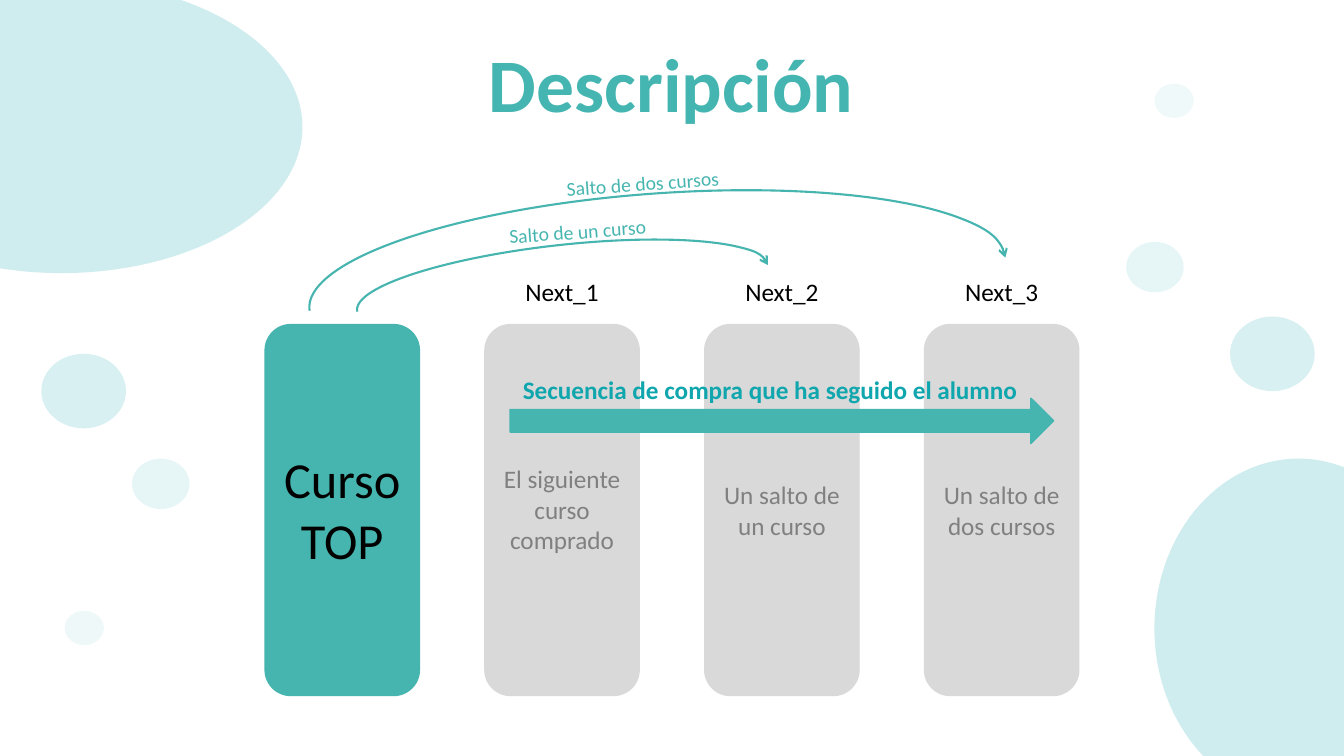
from lxml import etree
from pptx import Presentation
from pptx import util as u
from pptx.dml.color import RGBColor
from pptx.enum import shapes, text
from pptx.oxml.ns import qn

PX = u.Inches(1) // 100
TEAL = RGBColor(0x46, 0xB5, 0xAF)
TITLE_TEAL = RGBColor(0x44, 0xB5, 0xB1)
DEEP_TEAL = RGBColor(0x10, 0xA6, 0xAE)
CARD_GREY = RGBColor(0xD9, 0xD9, 0xD9)
TEXT_GREY = RGBColor(0x80, 0x80, 0x80)
BLACK = RGBColor(0, 0, 0)

CARD_LEFT, CARD_TOP, CARD_WIDTH, CARD_HEIGHT, CARD_STEP = 263, 322, 153, 368, 218
NEXT_COURSES = [
    ("Next_1", "El siguiente curso comprado", 455, 101),
    ("Next_2", "Un salto de un curso", 471, 71),
    ("Next_3", "Un salto de dos cursos", 471, 71),
]
BUBBLES = [
    (-178, -19, 478, 290, 20),
    (1145, 455, 286, 337, 20),
    (64, 606, 39, 34, 7),
    (131, 455, 57, 50, 10),
    (41, 351, 84, 74, 16),
    (1145, 83, 39, 34, 6),
    (1117, 240, 57, 50, 10),
    (1220, 314, 84, 74, 16),
]
JUMPS = [
    ("Salto de un curso", (495, 211, 208, 34), (353, 243, 410, 85), 353.7),
    ("Salto de dos cursos", (552, 164, 208, 34), (306, 192, 692, 178), 355.8),
]


def add_figure(slide, kind, box, fill=None, line=None, weight=1):
    """Add a preset shape with an optional solid fill and outline."""
    figure = slide.shapes.add_shape(kind, *(n * PX for n in box))
    figure.shadow.inherit = False
    if fill is None:
        figure.fill.background()
    else:
        figure.fill.solid()
        figure.fill.fore_color.rgb = fill
    if line is None:
        figure.line.fill.background()
    else:
        figure.line.color.rgb = line
        figure.line.width = u.Pt(weight)
    return figure


def add_label(slide, words, box, size, color, bold=False,
              align=text.PP_ALIGN.CENTER):
    """Add a wrapped one-paragraph text box."""
    label = slide.shapes.add_textbox(*(n * PX for n in box))
    frame = label.text_frame
    frame.word_wrap = True
    frame.auto_size = text.MSO_AUTO_SIZE.SHAPE_TO_FIT_TEXT
    paragraph = frame.paragraphs[0]
    paragraph.text = words
    paragraph.alignment = align
    font = paragraph.font
    font.name, font.size, font.bold = "Calibri", u.Pt(size), bold
    font.color.rgb = color
    return label


def add_card(slide, column, color):
    """Add the rounded card of one course column."""
    box = (CARD_LEFT + column * CARD_STEP, CARD_TOP, CARD_WIDTH, CARD_HEIGHT)
    add_figure(slide, shapes.MSO_SHAPE.ROUNDED_RECTANGLE, box, color, color)


def add_bubble(slide, left, top, width, height, opacity):
    """Add a translucent background ellipse."""
    bubble = add_figure(slide, shapes.MSO_SHAPE.OVAL,
                        (left, top, width, height), DEEP_TEAL)
    tint = bubble.fill._xPr.find(".//" + qn("a:srgbClr"))
    etree.SubElement(tint, qn("a:alpha"), val=str(opacity * 1000))


def add_jump(slide, words, label_box, arc_box, tilt):
    """Add a curved arrow and the tilted label above it."""
    jump = add_figure(slide, shapes.MSO_SHAPE.ARC, arc_box, None, TEAL, 1.5)
    jump.adjustments[0], jump.adjustments[1] = 107.805, 0
    jump.rotation = tilt
    etree.SubElement(jump.line._get_or_add_ln(), qn("a:tailEnd"), type="arrow")
    label = add_label(slide, words, label_box, 14, TEAL,
                      align=text.PP_ALIGN.LEFT)
    label.rotation = 355.9


def main():
    """Build the slide and save it."""
    deck = Presentation()
    deck.slide_width, deck.slide_height = u.Inches(13.33), u.Inches(7.5)
    slide = deck.slides.add_slide(deck.slide_layouts[6])

    add_label(slide, "Descripción", (378, 32, 576, 101), 54, TITLE_TEAL, True)
    add_card(slide, 0, TEAL)
    add_label(slide, "Curso TOP", (CARD_LEFT, 440, CARD_WIDTH, 131), 36, BLACK)
    for column, (heading, detail, top, height) in enumerate(NEXT_COURSES, 1):
        left = CARD_LEFT + column * CARD_STEP
        add_card(slide, column, CARD_GREY)
        add_label(slide, detail, (left, top, CARD_WIDTH, height), 18, TEXT_GREY)
        add_label(slide, heading, (left, 269, CARD_WIDTH, 40), 18, BLACK)
    for bubble in BUBBLES:
        add_bubble(slide, *bubble)
    for jump in JUMPS:
        add_jump(slide, *jump)
    add_figure(slide, shapes.MSO_SHAPE.RIGHT_ARROW, (506, 395, 539, 45),
               TEAL, TITLE_TEAL)
    add_label(slide, "Secuencia de compra que ha seguido el alumno",
              (506, 366, 516, 40), 18, DEEP_TEAL, True)
    deck.save("out.pptx")


if __name__ == "__main__":
    main()
